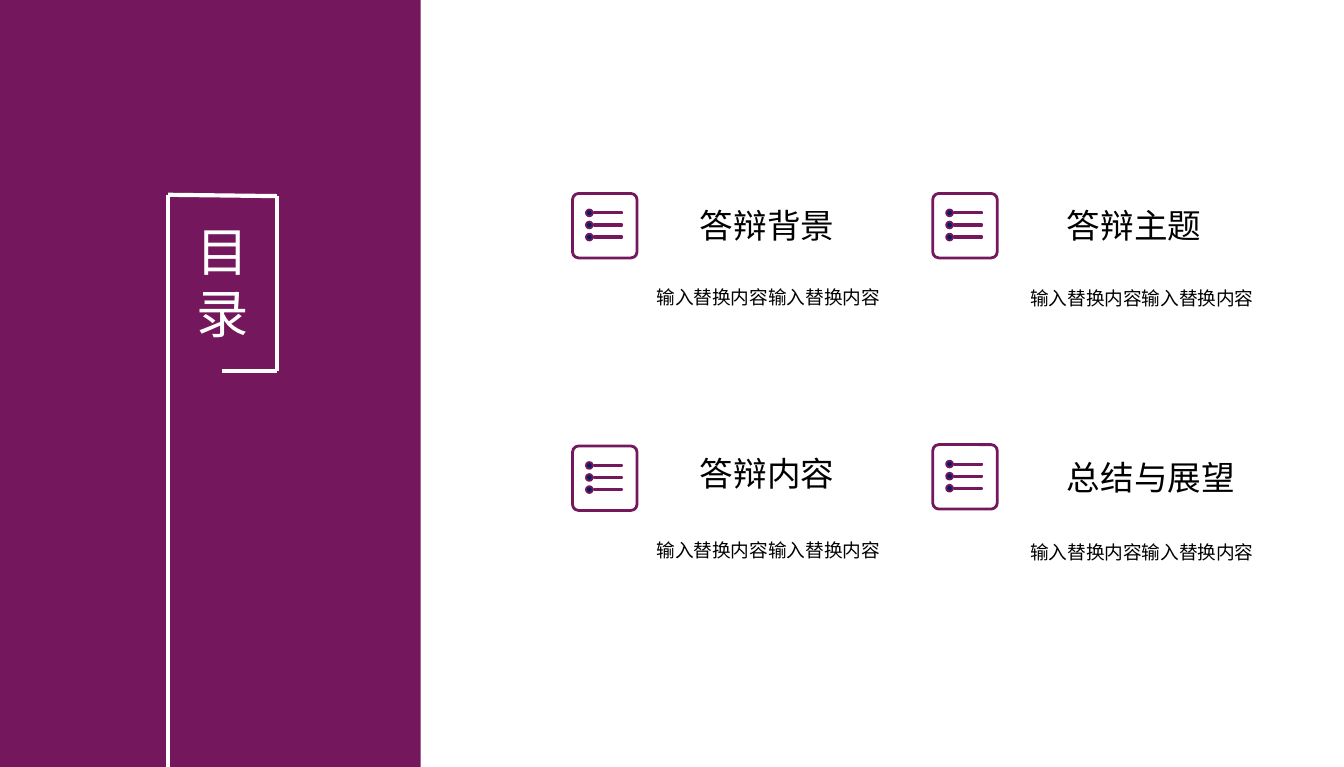
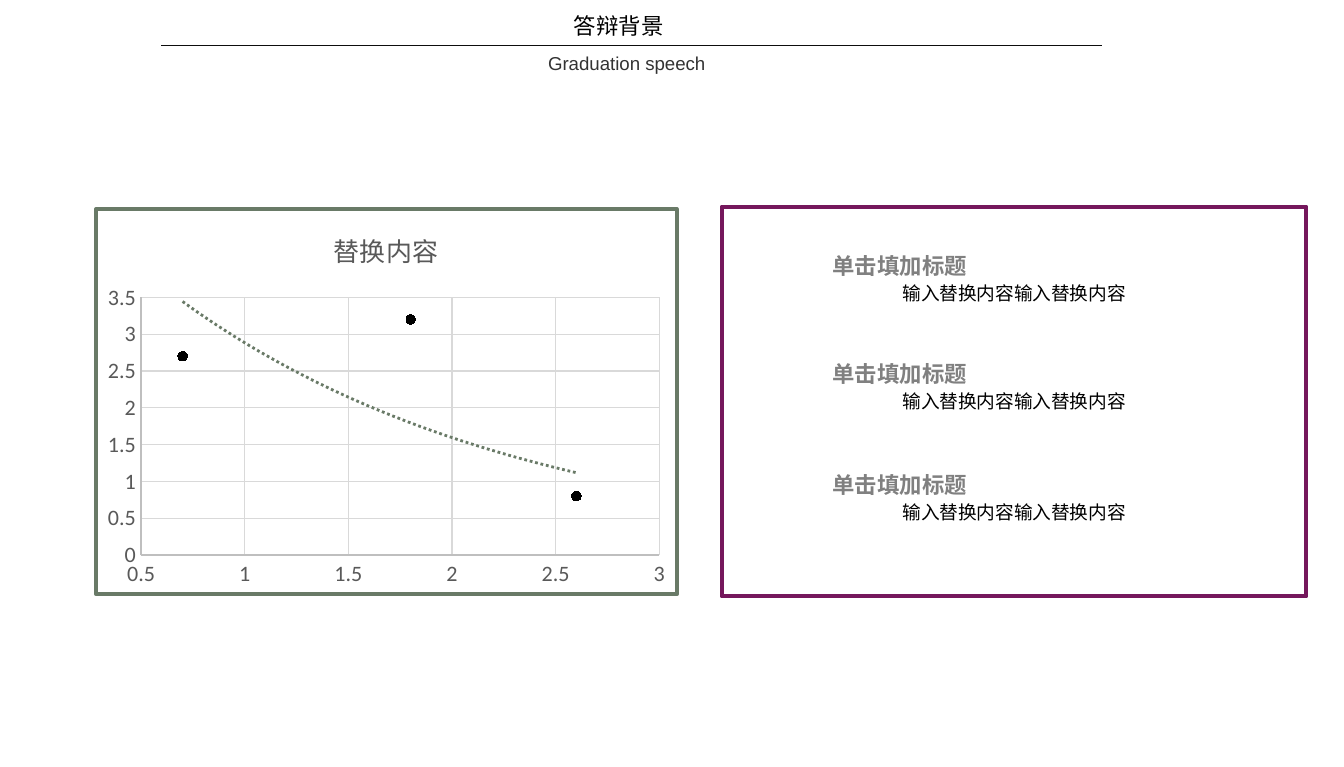
from lxml.etree import SubElement
from pptx import Presentation
from pptx.chart.data import XyChartData
from pptx.dml.color import RGBColor
from pptx.enum.chart import XL_CHART_TYPE, XL_MARKER_STYLE, XL_TICK_MARK
from pptx.enum.dml import MSO_LINE
from pptx.enum.shapes import MSO_CONNECTOR, MSO_SHAPE
from pptx.enum.text import MSO_ANCHOR, MSO_AUTO_SIZE, PP_ALIGN
from pptx.oxml import parse_xml
from pptx.oxml.ns import nsdecls, qn
from pptx.util import Inches, Pt

# Content
CONTENTS_TITLE = "目录"
CAPTION = "输入替换内容输入替换内容"
# heading, icon position, heading position, caption position
TOPICS = [
    ("答辩背景", (4.26, 1.44), (5.11, 1.48), (4.64, 2.08)),
    ("答辩主题", (6.94, 1.44), (7.84, 1.48), (7.42, 2.09)),
    ("答辩内容", (4.26, 3.32), (5.11, 3.32), (4.64, 3.96)),
    ("总结与展望", (6.94, 3.31), (7.84, 3.35), (7.42, 3.98)),
]
BACKGROUND_TITLE = "答辩背景"
SUBTITLE = "Graduation speech"
CHART_TITLE = "替换内容"
POINTS = [(0.7, 2.7), (1.8, 3.2), (2.6, 0.8)]
NOTES = [("单击填加标题", y) for y in (1.84, 2.64, 3.47)]

# Style
WIDTH, HEIGHT = 10, 5.71
CJK = "Noto Sans CJK SC"
PURPLE = RGBColor(0x75, 0x17, 0x5C)
NAVY = RGBColor(0x00, 0x20, 0x60)
GREEN = RGBColor(0x69, 0x7A, 0x67)
WHITE = RGBColor(0xFF, 0xFF, 0xFF)
BLACK = RGBColor(0x00, 0x00, 0x00)
RULE = RGBColor(0x0D, 0x0D, 0x0D)
DARK = RGBColor(0x33, 0x33, 0x33)
GRAY = RGBColor(0x80, 0x80, 0x80)
LABEL = RGBColor(0x59, 0x59, 0x59)
AXIS = RGBColor(0xBF, 0xBF, 0xBF)
GRID = RGBColor(0xD9, 0xD9, 0xD9)


def style_font(font, size, color=BLACK, name=CJK, bold=False):
    font.size, font.name, font.bold = Pt(size), name, bold
    font.color.rgb = color


def set_text(sp, text, box, size, color=BLACK, name=CJK, bold=False,
             align=PP_ALIGN.LEFT, wrap=True):
    sp.left, sp.top, sp.width, sp.height = map(Inches, box)
    tf = sp.text_frame
    tf.text = text
    tf.word_wrap = wrap
    tf.auto_size = MSO_AUTO_SIZE.SHAPE_TO_FIT_TEXT
    tf.vertical_anchor = MSO_ANCHOR.TOP
    p = tf.paragraphs[0]
    p.alignment = align
    r = p.runs[0]
    style_font(r.font, size, color, name, bold)
    SubElement(r.font._element, qn("a:ea")).set("typeface", name)
    return tf


def add_text(s, text, box, size, **style):
    return set_text(s.shapes.add_textbox(0, 0, 0, 0), text, box, size, **style)


def add_caption(s, x, y, w):
    add_text(s, CAPTION, (x, y, w, 0.27), 10, align=PP_ALIGN.CENTER)


def add_box(shapes, kind, box, fill=None, line=None, width=1):
    sp = shapes.add_shape(kind, *map(Inches, box))
    sp.shadow.inherit = False
    if fill is None:
        sp.fill.background()
    else:
        sp.fill.solid()
        sp.fill.fore_color.rgb = fill
    if line is None:
        sp.line.fill.background()
    else:
        sp.line.color.rgb = line
        sp.line.width = Pt(width)
    return sp


def add_line(s, start, end, color, width):
    line = s.shapes.add_connector(MSO_CONNECTOR.STRAIGHT, *map(Inches, start + end))
    line.line.color.rgb = color
    line.line.width = Pt(width)
    SubElement(line._element.spPr, qn("a:effectLst"))


def add_list_icon(s, x, y):
    shapes = s.shapes.add_group_shape().shapes
    frame = add_box(shapes, MSO_SHAPE.ROUNDED_RECTANGLE, (x, y, 0.48, 0.48),
                    line=PURPLE, width=1.5)
    frame.adjustments[0] = 0.095
    for i in range(3):
        row = y + 0.12 + 0.09 * i
        add_box(shapes, MSO_SHAPE.OVAL, (x + 0.1, row, 0.05, 0.05), NAVY, PURPLE)
        add_box(shapes, MSO_SHAPE.RECTANGLE, (x + 0.16, row + 0.02, 0.21, 0.01),
                NAVY, PURPLE)


def build_contents(s):
    # Side panel with the title in an open frame
    add_box(s.shapes, MSO_SHAPE.RECTANGLE, (0, 0, 3.13, HEIGHT), PURPLE)
    corners = [(1.25, HEIGHT), (1.25, 1.45), (2.06, 1.46), (2.06, 2.76), (1.65, 2.76)]
    for start, end in zip(corners, corners[1:]):
        add_line(s, start, end, WHITE, 2.25)
    title = s.shapes.title
    set_text(title, CONTENTS_TITLE, (1.36, 1.58, 0.54, 1.04), 28, color=WHITE)
    s.shapes._spTree.append(title._element)  # bring in front of the panel

    # Topics
    for heading, icon, (x, y), caption in TOPICS:
        add_list_icon(s, *icon)
        add_text(s, heading, (x, y, 0.2 + 0.25 * len(heading), 0.4), 18, wrap=False)
        add_caption(s, *caption, 2.15)


def add_scatter(s, box):
    data = XyChartData()
    series = data.add_series("Series 1")
    for x, y in POINTS:
        series.add_data_point(x, y)
    chart = s.shapes.add_chart(XL_CHART_TYPE.XY_SCATTER, *map(Inches, box), data).chart
    style_font(chart.font, 10, name="Calibri")
    chart.has_legend = False
    chart.has_title = True
    tf = chart.chart_title.text_frame
    tf.text = CHART_TITLE
    r = tf.paragraphs[0].runs[0]
    style_font(r.font, 14, LABEL)
    SubElement(r.font._element, qn("a:ea")).set("typeface", CJK)

    # Axes
    for axis, low, high in ((chart.category_axis, 0.5, 3), (chart.value_axis, 0, 3.5)):
        axis.minimum_scale, axis.maximum_scale, axis.major_unit = low, high, 0.5
        axis.major_tick_mark = axis.minor_tick_mark = XL_TICK_MARK.NONE
        axis.has_major_gridlines = True
        for line, color in ((axis.format.line, AXIS),
                            (axis.major_gridlines.format.line, GRID)):
            line.color.rgb = color
            line.width = Pt(0.75)
        style_font(axis.tick_labels.font, 11.9, LABEL, "Calibri")

    # Markers
    plot = chart.plots[0]
    plot.vary_by_categories = False
    series = plot.series[0]
    series.format.line.fill.background()
    marker = series.marker
    marker.style, marker.size = XL_MARKER_STYLE.CIRCLE, 5
    marker.format.fill.solid()
    marker.format.fill.fore_color.rgb = BLACK
    marker.format.line.color.rgb = BLACK

    # Exponential trend line and chart border
    trend = parse_xml(
        f'<c:trendline {nsdecls("c", "a")}><c:spPr><a:ln w="{Pt(1.5)}"><a:solidFill>'
        f'<a:srgbClr val="{GREEN}"/></a:solidFill><a:prstDash val="sysDot"/></a:ln></c:spPr>'
        '<c:trendlineType val="exp"/><c:dispRSqr val="0"/><c:dispEq val="0"/></c:trendline>')
    series._element.find(qn("c:xVal")).addprevious(trend)
    border = parse_xml(
        f'<c:spPr {nsdecls("c", "a")}><a:noFill/><a:ln w="{Pt(2.25)}"><a:solidFill>'
        f'<a:srgbClr val="{GREEN}"/></a:solidFill></a:ln></c:spPr>')
    chart._chartSpace.find(qn("c:chart")).addnext(border)


def build_background(s):
    # Header
    add_line(s, (1.2, 0.34), (8.2, 0.34), RULE, 0.5)
    set_text(s.shapes.title, BACKGROUND_TITLE, (4.17, 0.04, 0.88, 0.3), 12, wrap=False)
    add_text(s, SUBTITLE, (3.98, 0.34, 1.67, 0.27), 10, color=DARK, name="Arial")

    # Chart and notes side by side
    add_scatter(s, (0.7, 1.54, 4.35, 2.9))
    add_box(s.shapes, MSO_SHAPE.RECTANGLE, (5.37, 1.54, 4.35, 2.9),
            line=PURPLE, width=2.25)
    for heading, y in NOTES:
        add_caption(s, 6.06, y + 0.21, 2.97)
        tf = add_text(s, heading, (6.01, y, 1.37, 0.24), 12, color=GRAY, bold=True,
                      align=PP_ALIGN.CENTER)
        tf.margin_left = tf.margin_top = tf.margin_right = tf.margin_bottom = 0
        tf.paragraphs[0].line_spacing = 1.2


def main():
    prs = Presentation()
    prs.slide_width, prs.slide_height = Inches(WIDTH), Inches(HEIGHT)
    for build in (build_contents, build_background):
        build(prs.slides.add_slide(prs.slide_layouts[5]))
    prs.save("out.pptx")


if __name__ == "__main__":
    main()
